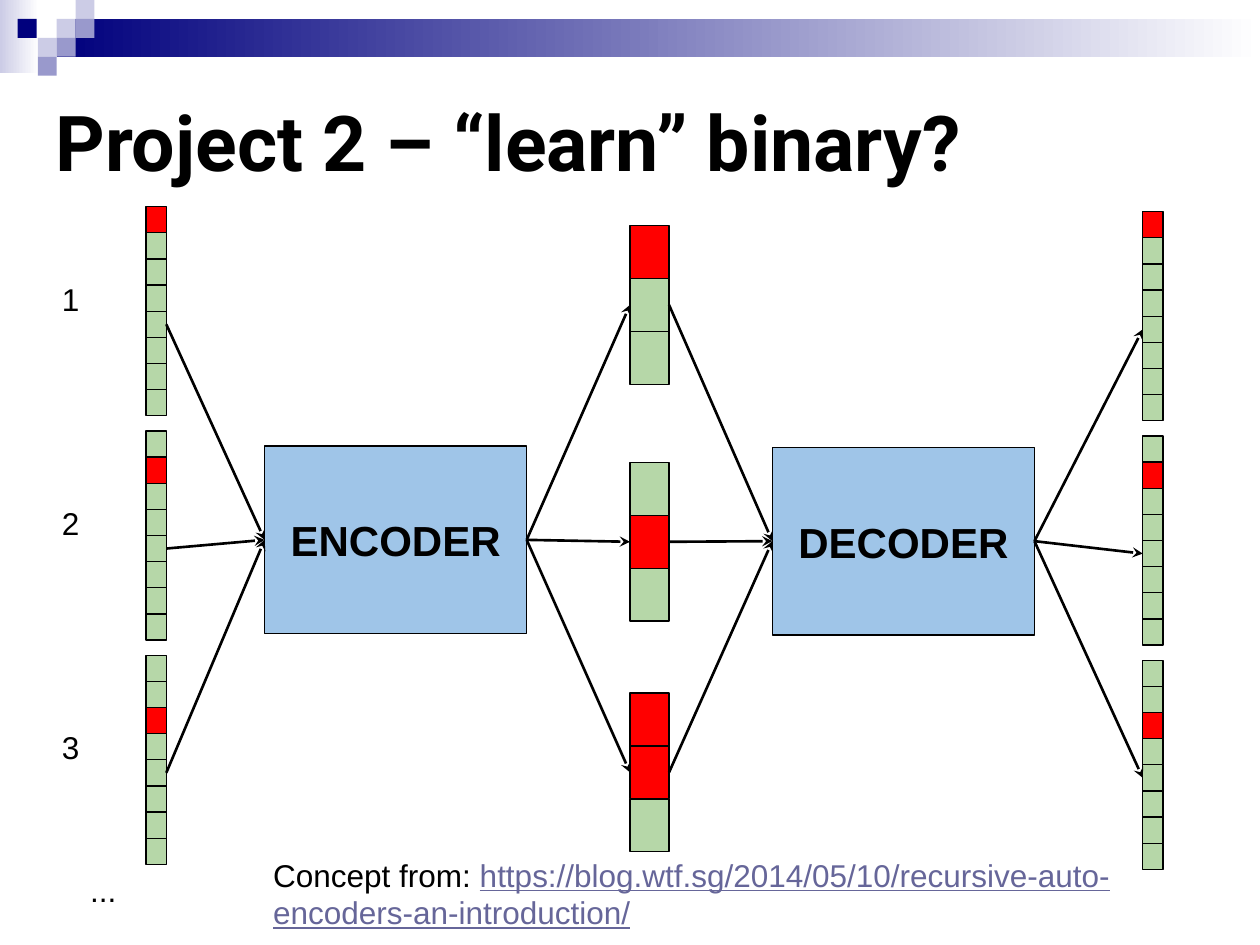
from typing import NamedTuple

from lxml.etree import SubElement
from pptx import Presentation
from pptx.dml.color import RGBColor
from pptx.enum.shapes import MSO_CONNECTOR, MSO_SHAPE
from pptx.enum.text import MSO_ANCHOR as Anchor, MSO_AUTO_SIZE, PP_ALIGN as Align
from pptx.oxml.ns import qn
from pptx.util import Inches, Pt

COLORS = {
    "black": "000000", "white": "FFFFFF", "navy": "00007D", "lavender": "CCCCE6",
    "violet": "9999CC", "link": "666699", "off": "B6D7A8", "on": "FF0000",
    "block": "9FC5E8",
}


class Box(NamedTuple):
    left: float
    top: float
    width: float
    height: float


class Strip(NamedTuple):
    """A column of cells; each character of bits is one cell, 1 for a lit one."""
    left: float
    top: float
    width: float
    height: float
    bits: str

    @property
    def cell_height(self) -> float:
        return self.height / len(self.bits)

    @property
    def port(self) -> float:
        """Height at which arrows meet the strip: the centre of its middle cell."""
        return self.top + (len(self.bits) // 2 + 0.5) * self.cell_height


class Block(NamedTuple):
    label: str
    box: Box

    @property
    def port(self) -> float:
        return self.box.top + self.box.height / 2


CODES = ["10000000", "01000000", "00100000"]
INPUTS = [Strip(1.16, 1.64 + 1.78 * i, 0.16, 1.66, code) for i, code in enumerate(CODES)]
HIDDEN = [Strip(5, top, 0.31, 1.26, bits)
          for top, bits in ((1.79, "100"), (3.67, "010"), (5.5, "110"))]
OUTPUTS = [Strip(9.07, 1.68 + 1.78 * i, 0.16, 1.66, code) for i, code in enumerate(CODES)]
ENCODER = Block("ENCODER", Box(2.1, 3.54, 2.08, 1.49))
DECODER = Block("DECODER", Box(6.13, 3.55, 2.08, 1.49))

SQUARE = 0.15
SQUARES = [(0.45, 0.15, "lavender"), (0.6, 0, "lavender"), (0.6, 0.15, "violet"),
           (0.3, 0.3, "lavender"), (0.14, 0.15, "navy"), (0.45, 0.3, "violet"),
           (0.3, 0.45, "violet")]


def color(name: str) -> RGBColor:
    return RGBColor.from_string(COLORS[name])


def place(box: Box) -> list:
    return [Inches(value) for value in box]


def add_rectangle(slide, box: Box, fill: str, outlined: bool = True):
    shape = slide.shapes.add_shape(MSO_SHAPE.RECTANGLE, *place(box))
    shape.shadow.inherit = False
    shape.fill.solid()
    shape.fill.fore_color.rgb = color(fill)
    if outlined:
        shape.line.color.rgb = color("black")
        shape.line.width = Pt(0.75)
    else:
        shape.line.fill.background()
    return shape


def add_fade(slide, box: Box, start: str) -> None:
    """Add a bar that fades to white from left to right."""
    shape = add_rectangle(slide, box, start, outlined=False)
    shape.fill.gradient()
    shape.fill.gradient_angle = 0
    for stop, name in zip(shape.fill.gradient_stops, (start, "white")):
        stop.color.rgb = color(name)


def format_text(shape, text: str, size: float, bold: bool = False, font: str = "Arial",
                align: Align = Align.LEFT, anchor: Anchor = Anchor.TOP):
    frame = shape.text_frame
    frame.text = text
    frame.word_wrap = True
    frame.auto_size = MSO_AUTO_SIZE.NONE
    frame.vertical_anchor = anchor
    frame.margin_left = frame.margin_right = Inches(0.1)
    frame.margin_top = frame.margin_bottom = Inches(0.1)
    paragraph = frame.paragraphs[0]
    paragraph.alignment = align
    paragraph.font.name = font
    paragraph.font.size = Pt(size)
    paragraph.font.bold = bold
    paragraph.font.color.rgb = color("black")
    return paragraph


def add_text(slide, box: Box, text: str, **style):
    return format_text(slide.shapes.add_textbox(*place(box)), text, 18, **style)


def add_strip(slide, strip: Strip) -> None:
    for row, bit in enumerate(strip.bits):
        cell = Box(strip.left, strip.top + row * strip.cell_height,
                   strip.width, strip.cell_height)
        add_rectangle(slide, cell, "on" if bit == "1" else "off")


def add_block(slide, block: Block) -> None:
    shape = add_rectangle(slide, block.box, "block")
    format_text(shape, block.label, 24, bold=True, align=Align.CENTER, anchor=Anchor.MIDDLE)


def add_arrow(slide, x1: float, y1: float, x2: float, y2: float) -> None:
    arrow = slide.shapes.add_connector(
        MSO_CONNECTOR.STRAIGHT, Inches(x1), Inches(y1), Inches(x2), Inches(y2))
    arrow.line.color.rgb = color("black")
    arrow.line.width = Pt(1.5)
    SubElement(arrow.line._get_or_add_ln(), qn("a:tailEnd"), type="stealth")
    SubElement(arrow._element.spPr, qn("a:effectLst"))


def connect(slide, sources: list[Strip], block: Block, targets: list[Strip]) -> None:
    """Draw arrows from every source into the block and on to every target."""
    for strip in sources:
        add_arrow(slide, strip.left + strip.width, strip.port, block.box.left, block.port)
    for strip in targets:
        add_arrow(slide, block.box.left + block.box.width, block.port, strip.left, strip.port)


def add_header(slide) -> None:
    add_fade(slide, Box(0, 0, 0.31, 0.58), "lavender")
    add_fade(slide, Box(0.45, 0.15, 9.55, 0.3), "navy")
    for left, top, fill in SQUARES:
        add_rectangle(slide, Box(left, top, SQUARE, SQUARE), fill, outlined=False)


def main() -> None:
    presentation = Presentation()
    presentation.slide_width, presentation.slide_height = Inches(10), Inches(7.5)
    slide = presentation.slides.add_slide(presentation.slide_layouts[5])
    add_header(slide)

    title = slide.shapes.title
    title.left, title.top, title.width, title.height = place(Box(0.34, 0.65, 9.32, 0.84))
    format_text(title, "Project 2 – “learn” binary?", 44, bold=True, font="Roboto")

    credit = add_text(slide, Box(2.07, 6.92, 7.76, 0.34), "Concept from: ",
                      anchor=Anchor.MIDDLE)
    link = credit.add_run()
    link.text = "https://blog.wtf.sg/2014/05/10/recursive-auto-encoders-an-introduction/"
    link.font.underline = True
    link.font.color.rgb = color("link")

    for strip in INPUTS + HIDDEN + OUTPUTS:
        add_strip(slide, strip)
    for number in range(3):
        add_text(slide, Box(0.27, 2.12 + 1.78 * number, 0.58, 0.76), str(number + 1),
                 align=Align.CENTER)
    add_text(slide, Box(0.53, 6.81, 0.58, 0.69), "...", align=Align.CENTER)

    for sources, block, targets in ((INPUTS, ENCODER, HIDDEN), (HIDDEN, DECODER, OUTPUTS)):
        add_block(slide, block)
        connect(slide, sources, block, targets)

    presentation.save("out.pptx")


if __name__ == "__main__":
    main()
